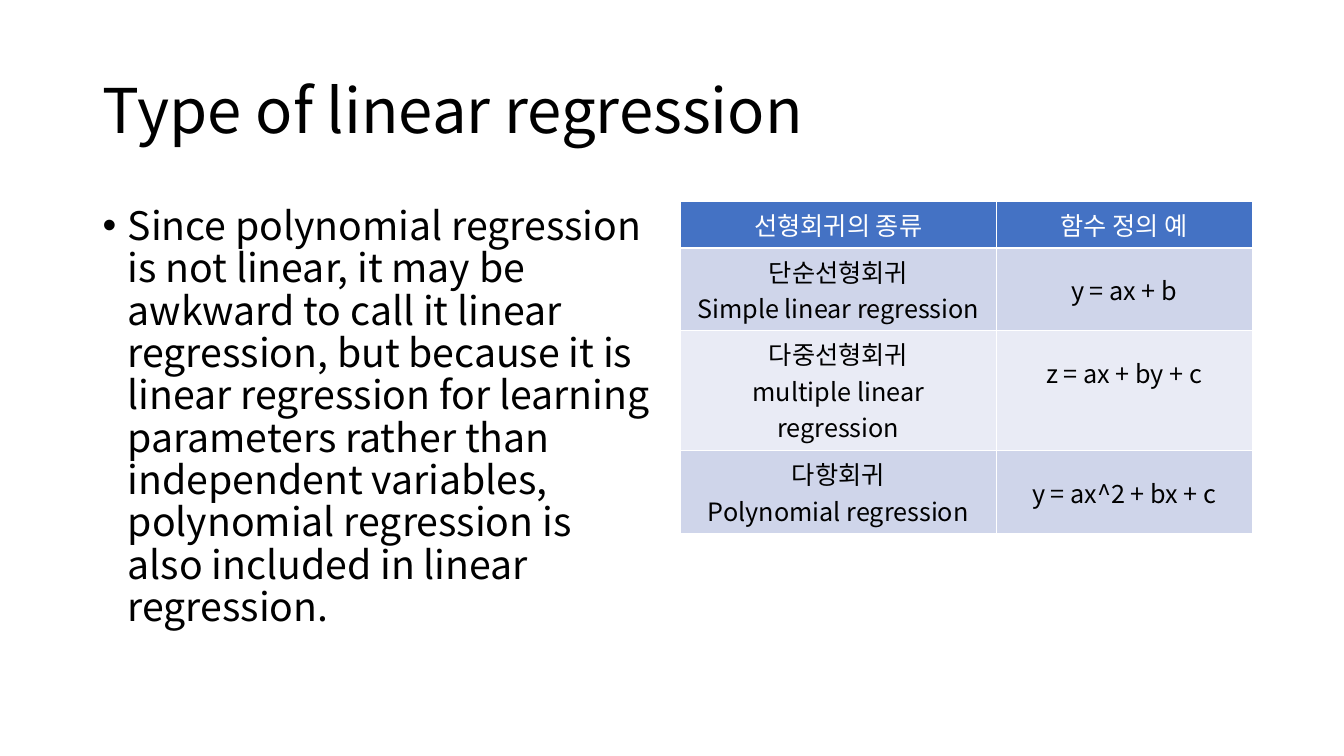
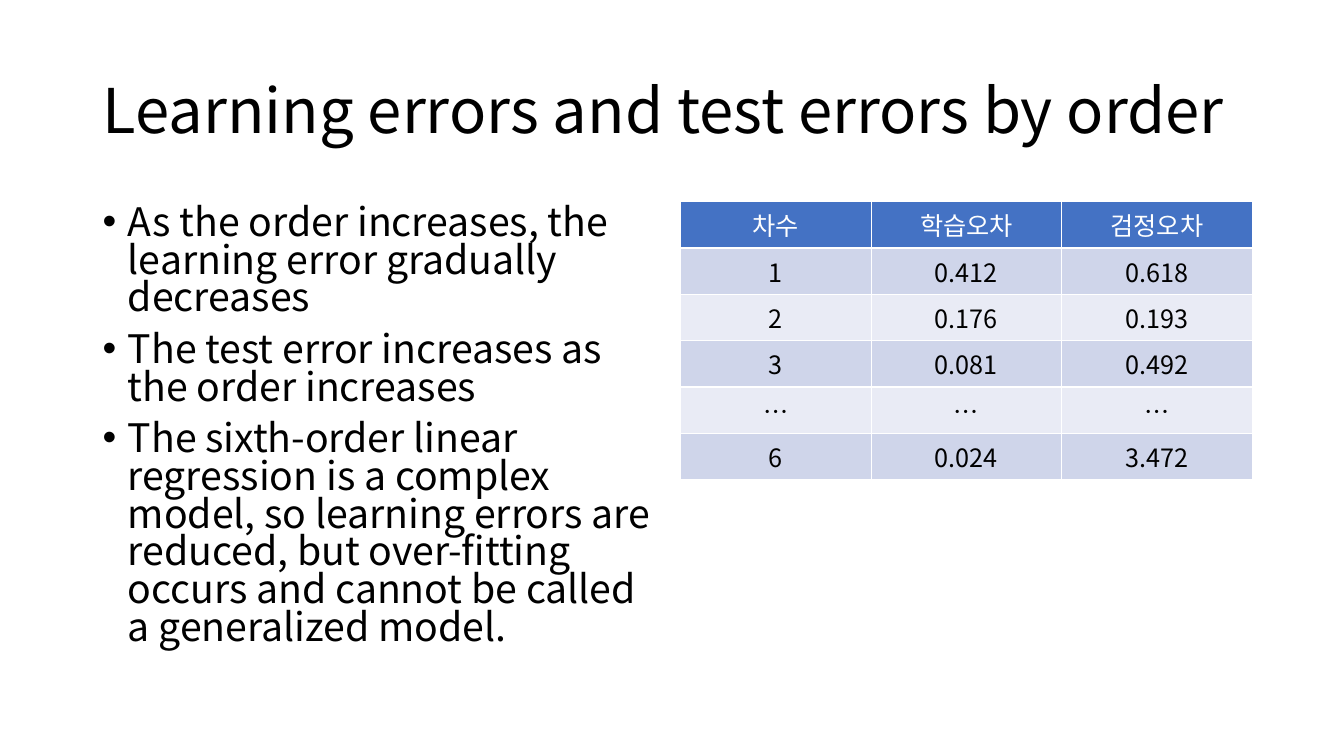
from lxml.etree import SubElement
from pptx import Presentation
from pptx.dml.color import RGBColor
from pptx.enum.text import MSO_ANCHOR as Anchor, MSO_AUTO_SIZE as AutoSize, PP_ALIGN as Align
from pptx.oxml.ns import qn
from pptx.util import Inches, Pt

FONT = "Noto Sans CJK KR"
BLACK = RGBColor(0x00, 0x00, 0x00)
WHITE = RGBColor(0xFF, 0xFF, 0xFF)
HEADER_BLUE = RGBColor(0x44, 0x72, 0xC4)
BAND_COLORS = (RGBColor(0xCF, 0xD5, 0xEA), RGBColor(0xE9, 0xEB, 0xF5))

TITLE_BOX = (0.92, 0.4, 11.5, 1.45)
POINTS_BOX = (0.92, 2, 5.67, 4.76)
TABLE_BOX = (6.75, 2, 5.67)
ROW_HEIGHT = 0.46

TYPES_POINTS = (
    "Since polynomial regression is not linear, it may be awkward to call it linear "
    "regression, but because it is linear regression for learning parameters rather than "
    "independent variables, polynomial regression is also included in linear regression."
)
TYPES_ROWS = [
    ("선형회귀의 종류", "함수 정의 예"),
    ("단순선형회귀\nSimple linear regression", "y = ax + b"),
    ("다중선형회귀\nmultiple linear regression", "z = ax + by + c"),
    ("다항회귀\nPolynomial regression", "y = ax^2 + bx + c"),
]
TYPES_HEIGHTS = (ROW_HEIGHT, 0.82, 1.19, 0.82)
ERRORS_POINTS = (
    "As the order increases, the learning error gradually decreases\n"
    "The test error increases as the order increases\n"
    "The sixth-order linear regression is a complex model, so learning errors are reduced, "
    "but over-fitting occurs and cannot be called a generalized model."
)
ERRORS_ROWS = [
    ("차수", "학습오차", "검정오차"),
    ("1", "0.412", "0.618"),
    ("2", "0.176", "0.193"),
    ("3", "0.081", "0.492"),
    ("…", "…", "…"),
    ("6", "0.024", "3.472"),
]
ERRORS_HEIGHTS = (ROW_HEIGHT,) * len(ERRORS_ROWS)


def add_bullet(paragraph):
    props = paragraph._p.get_or_add_pPr()
    props.set("marL", str(Inches(0.25)))
    props.set("indent", str(Inches(-0.25)))
    SubElement(props, qn("a:buFont")).set("typeface", "Arial")
    SubElement(props, qn("a:buChar")).set("char", "•")


def write(frame, text, size=18, color=BLACK, align=Align.LEFT, spacing=1.0, before=0, bullet=False):
    for number, line in enumerate(text.split("\n")):
        paragraph = frame.add_paragraph() if number else frame.paragraphs[0]
        paragraph.alignment = align
        paragraph.line_spacing = spacing
        paragraph.space_before = Pt(before)
        if bullet:
            add_bullet(paragraph)
        run = paragraph.add_run()
        run.text = line
        run.font.size = Pt(size)
        run.font.color.rgb = color
        run.font.name = FONT
        SubElement(run.font._element, qn("a:ea")).set("typeface", FONT)


def add_title(slide, box, text):
    title = slide.shapes.title
    title.left, title.top, title.width, title.height = map(Inches, box)
    frame = title.text_frame
    frame.auto_size = AutoSize.NONE
    frame.vertical_anchor = Anchor.MIDDLE
    write(frame, text, size=44, spacing=0.9)


def add_points(slide, box, text, spacing):
    frame = slide.shapes.add_textbox(*map(Inches, box)).text_frame
    frame.word_wrap = True
    write(frame, text, size=28, spacing=spacing, before=10, bullet=True)


def set_borders(cell):
    props = cell._tc.get_or_add_tcPr()
    for side in "LRTB":
        line = SubElement(props, qn(f"a:ln{side}"), w=str(Pt(1)))
        fill = SubElement(line, qn("a:solidFill"))
        SubElement(fill, qn("a:srgbClr")).set("val", str(WHITE))


def add_data_table(slide, box, rows, heights, shares, last_spacing):
    left, top, width = box
    table = slide.shapes.add_table(
        len(rows), len(shares), Inches(left), Inches(top),
        Inches(width), Inches(sum(heights)),
    ).table
    for column, share in zip(table.columns, shares):
        column.width = Inches(width * share / sum(shares))
    for table_row, height in zip(table.rows, heights):
        table_row.height = Inches(height)
    for r, row in enumerate(rows):
        header = r == 0
        for c, text in enumerate(row):
            cell = table.cell(r, c)
            set_borders(cell)
            cell.fill.solid()
            cell.fill.fore_color.rgb = HEADER_BLUE if header else BAND_COLORS[(r - 1) % 2]
            is_last = c == len(row) - 1
            write(
                cell.text_frame, text, align=Align.CENTER,
                color=WHITE if header else BLACK,
                spacing=last_spacing if is_last and not header else 1.0,
            )


def add_content_slide(deck, title, points, rows, heights, shares, points_spacing, last_spacing=1.0):
    slide = deck.slides.add_slide(deck.slide_layouts[5])
    add_title(slide, TITLE_BOX, title)
    add_points(slide, POINTS_BOX, points, points_spacing)
    add_data_table(slide, TABLE_BOX, rows, heights, shares, last_spacing)


def main():
    deck = Presentation()
    deck.slide_width, deck.slide_height = Inches(13.33), Inches(7.5)
    add_content_slide(
        deck, "Type of linear regression", TYPES_POINTS, TYPES_ROWS, TYPES_HEIGHTS,
        shares=(3.13, 2.54), points_spacing=0.9, last_spacing=1.5,
    )
    add_content_slide(
        deck, "Learning errors and test errors by order", ERRORS_POINTS, ERRORS_ROWS,
        ERRORS_HEIGHTS, shares=(1, 1, 1), points_spacing=0.8,
    )
    deck.save("out.pptx")


if __name__ == "__main__":
    main()
